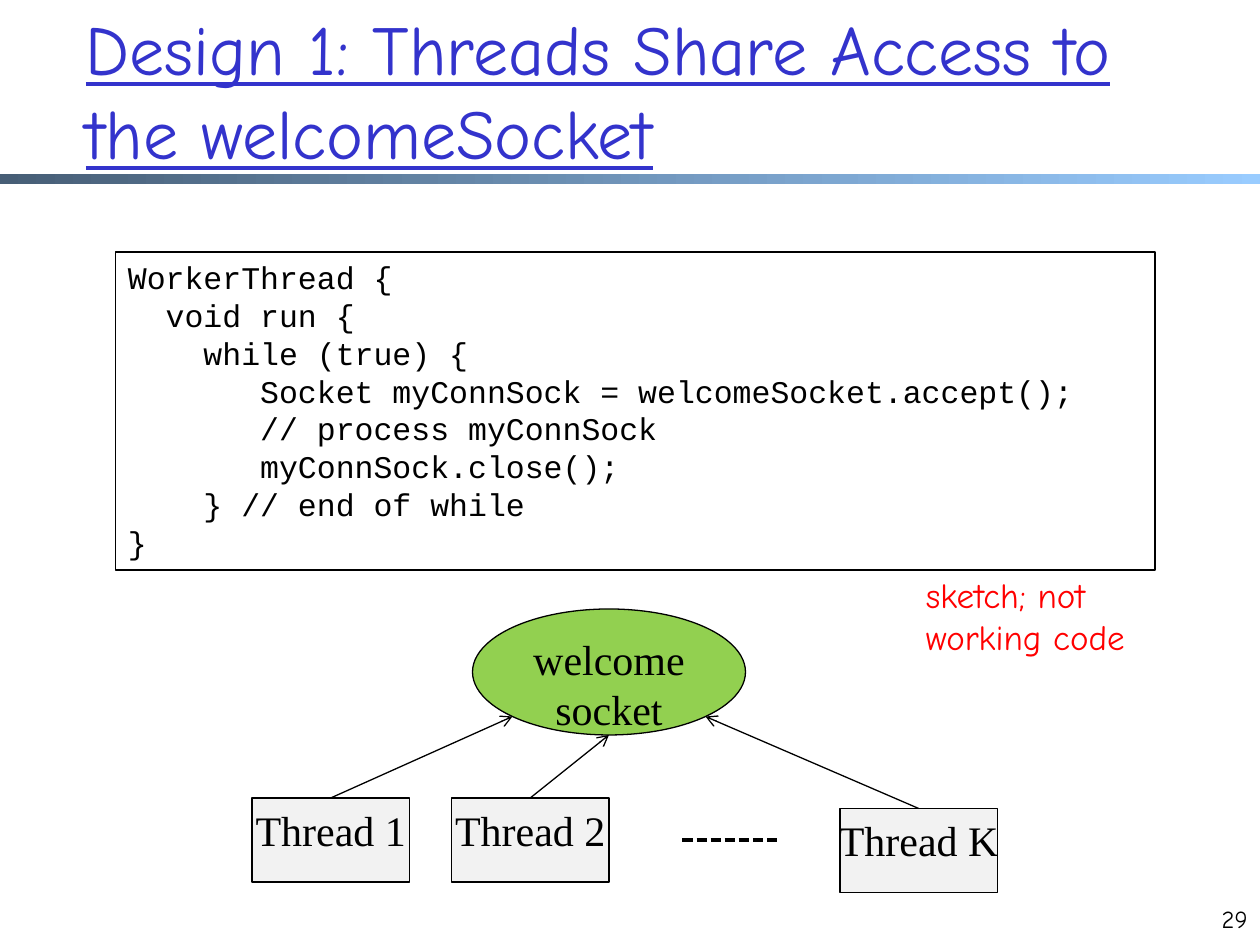
from math import cos, pi
from lxml.etree import SubElement
from pptx import Presentation
from pptx.dml.color import RGBColor
from pptx.enum.dml import MSO_LINE
from pptx.enum.shapes import MSO_CONNECTOR, MSO_SHAPE
from pptx.enum.text import MSO_ANCHOR, PP_ALIGN
from pptx.oxml.ns import qn
from pptx.util import Pt

BLACK = RGBColor(0, 0, 0)
RED = RGBColor(0xFF, 0, 0)
BLUE = RGBColor(0x33, 0x33, 0xCC)
GREEN = RGBColor(0x92, 0xD0, 0x50)
GRAY = RGBColor(0xF2, 0xF2, 0xF2)
BAR_COLORS = RGBColor(0x47, 0x5E, 0x76), RGBColor(0x99, 0xCC, 0xFF)

TITLE = "Design 1: Threads Share Access to the welcomeSocket"
CODE = """WorkerThread {
  void run {
    while (true) {
       Socket myConnSock = welcomeSocket.accept();
       // process myConnSock
       myConnSock.close();
    } // end of while
}"""
SOCKET_BOX = (270, 348, 156, 72)
THREAD_W, THREAD_H = 90, 48
# label, left, top, angle on the socket ellipse where the arrow ends
THREADS = [
    ("Thread 1", 144, 456, 3 * pi / 4),
    ("Thread 2", 258, 456, pi / 2),
    ("Thread K", 480, 462, pi / 4),
]
COMIC = dict(name="Comic Neue")
LABEL = dict(name="Times New Roman", size=Pt(24))


def write(s, text, font, color=BLACK, align=PP_ALIGN.LEFT, wrap=True, anchor=MSO_ANCHOR.TOP):
    tf = s.text_frame
    tf.word_wrap = wrap
    tf.vertical_anchor = anchor
    p = tf.paragraphs[0]
    p.text = text.replace("\n", "\v")
    p.alignment = align
    for r in p.runs:
        for key, value in font.items():
            setattr(r.font, key, value)
        r.font.color.rgb = color


def add_text(box, text, font, **options):
    write(shapes.add_textbox(*map(Pt, box)), text, font, **options)


def add_box(kind, box, fill=None):
    s = shapes.add_shape(kind, *map(Pt, box))
    s.shadow.inherit = False
    if fill is None:
        s.fill.background()
    else:
        s.fill.solid()
        s.fill.fore_color.rgb = fill
    s.line.color.rgb = BLACK
    s.line.width = Pt(0.75)
    return s


def add_line(start, end, width=0.75):
    s = shapes.add_connector(MSO_CONNECTOR.STRAIGHT, *map(Pt, start + end))
    s.line.color.rgb = BLACK
    s.line.width = Pt(width)
    SubElement(s._element.spPr, qn("a:effectLst"))
    return s


def ellipse_point(box, angle):
    left, top, w, h = box
    return left + w / 2 * (1 + cos(angle)), top + h / 2 * (1 + cos(angle - pi / 2))


prs = Presentation()
prs.slide_width, prs.slide_height = Pt(720), Pt(540)
shapes = prs.slides.add_slide(prs.slide_layouts[6]).shapes

bar = add_box(MSO_SHAPE.RECTANGLE, (0, 99.5, 720, 5.5))
bar.line.fill.background()
bar.fill.gradient()
bar.fill.gradient_angle = 0
for stop, color, position in zip(bar.fill.gradient_stops, BAR_COLORS, (0, 1)):
    stop.color.rgb = color
    stop.position = position

add_text((42, 6, 612, 90), TITLE, COMIC | dict(size=Pt(40), underline=True),
         color=BLUE, anchor=MSO_ANCHOR.MIDDLE)
add_text((684, 513, 36, 36), "29", COMIC | dict(size=Pt(14)), align=PP_ALIGN.RIGHT)

write(add_box(MSO_SHAPE.RECTANGLE, (66, 144, 594, 181.75)), CODE,
      dict(name="Courier New", size=Pt(18)))

write(add_box(MSO_SHAPE.OVAL, SOCKET_BOX, GREEN), "welcome\nsocket", LABEL,
      align=PP_ALIGN.CENTER, wrap=False)

for label, left, top, angle in THREADS:
    write(add_box(MSO_SHAPE.RECTANGLE, (left, top, THREAD_W, THREAD_H), GRAY), label, LABEL,
          align=PP_ALIGN.CENTER, wrap=False)
    arrow = add_line((left + THREAD_W / 2, top), ellipse_point(SOCKET_BOX, angle))
    SubElement(arrow.line._get_or_add_ln(), qn("a:tailEnd"), type="arrow")

more_threads = add_line((390, 480), (444, 480), width=2)
more_threads.line.dash_style = MSO_LINE.SQUARE_DOT

add_text((522, 324, 137, 55.5), "sketch; not\nworking code", COMIC | dict(size=Pt(20)),
         color=RED, wrap=False)

prs.save("out.pptx")
